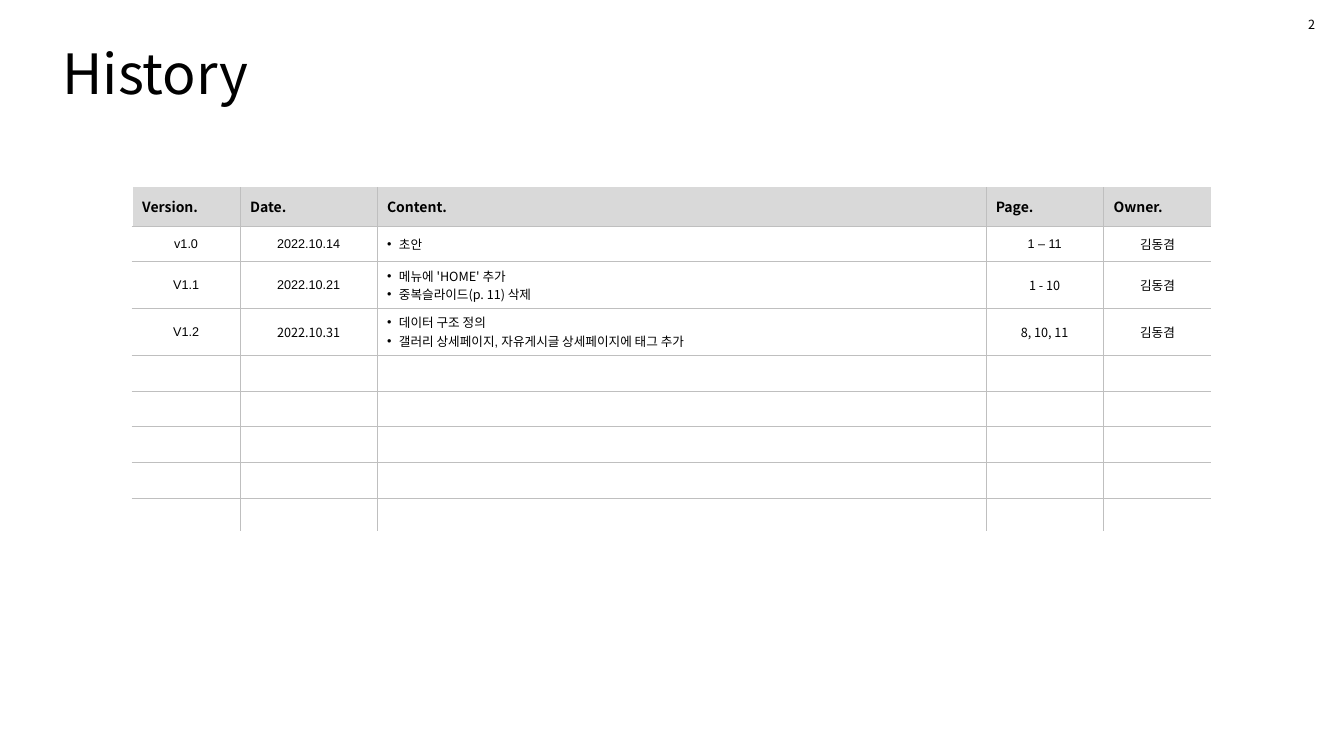
from lxml.etree import SubElement
from pptx import Presentation
from pptx.dml.color import RGBColor
from pptx.enum.text import MSO_ANCHOR, MSO_AUTO_SIZE, PP_ALIGN
from pptx.oxml.ns import qn
from pptx.util import Cm, Pt

BLACK = RGBColor(0x00, 0x00, 0x00)
WHITE = RGBColor(0xFF, 0xFF, 0xFF)
HEADER_GREY = RGBColor(0xD9, 0xD9, 0xD9)
LINE_GREY = RGBColor(0xBF, 0xBF, 0xBF)
NOTO, ARIAL = "Noto Sans CJK KR", "Arial"

GRID_LINE = (LINE_GREY, 0.25)
WHITE_LINE = (WHITE, 1)
HEADER_FONT = {"size": Pt(10), "bold": True}
BODY_FONT = {"size": Pt(9), "bold": False}

COLUMN_WIDTHS = (2.72, 3.45, 15.34, 2.97, 2.72)
ROW_HEIGHTS = (0.97, 0.9, 1.16, 1.18) + (0.9,) * 4 + (0.85,)
CONTENT_COLUMN = 2
HEADERS = ("Version.", "Date.", "Content.", "Page.", "Owner.")
HISTORY = (
    ("v1.0", "2022.10.14", "초안", "1 – 11", "김동겸"),
    ("V1.1", "2022.10.21", "메뉴에 'HOME' 추가\n중복슬라이드(p. 11) 삭제",
     "1 - 10", "김동겸"),
    ("V1.2", "2022.10.31",
     "데이터 구조 정의\n갤러리 상세페이지, 자유게시글\u00a0상세페이지에 태그 추가",
     "8, 10, 11", "김동겸"),
)
HISTORY_FONTS = (
    (ARIAL, ARIAL, NOTO, ARIAL, NOTO),
    (ARIAL, ARIAL, NOTO, NOTO, NOTO),
    (ARIAL, NOTO, ARIAL, NOTO, NOTO),
)


def set_attrs(obj, values):
    """Set each attribute of obj from a dict."""
    for name, value in values.items():
        setattr(obj, name, value)


def add_run(p, text, font, latin=NOTO):
    """Add a black run with its Latin and East Asian fonts."""
    r = p.add_run()
    r.text = text
    set_attrs(r.font, {"name": latin, **font})
    r.font.color.rgb = BLACK
    SubElement(r.font._element, qn("a:ea"), typeface=NOTO)


def add_bullet(p):
    """Give a paragraph a hanging round bullet."""
    pPr = p._p.get_or_add_pPr()
    pPr.set("marL", str(Cm(0.3)))
    pPr.set("indent", str(-Cm(0.3)))
    SubElement(pPr, qn("a:buFont"), typeface=ARIAL)
    SubElement(pPr, qn("a:buChar"), char="•")


def set_borders(cell, borders):
    """Draw the L, R, T and B borders; None leaves a side without a line."""
    tcPr = cell._tc.get_or_add_tcPr()
    for side, line in borders.items():
        ln = SubElement(tcPr, qn(f"a:ln{side}"))
        if line is None:
            SubElement(ln, qn("a:noFill"))
            continue
        color, width = line
        ln.set("w", str(Pt(width)))
        fill = SubElement(ln, qn("a:solidFill"))
        SubElement(fill, qn("a:srgbClr"), val=str(color))


def fill_cell(cell, text, font, latin=NOTO, align=None, bullets=False):
    """Write the lines of a cell, one paragraph each."""
    tf = cell.text_frame
    for i, line in enumerate(text.split("\n")):
        p = tf.add_paragraph() if i else tf.paragraphs[0]
        p.alignment = align
        if bullets:
            add_bullet(p)
        add_run(p, line, font, latin)


def add_history_table(slide):
    """Add the version history with its empty rows."""
    n_rows, n_cols = len(ROW_HEIGHTS), len(COLUMN_WIDTHS)
    table = slide.shapes.add_table(
        n_rows, n_cols, Cm(3.33), Cm(4.72),
        Cm(sum(COLUMN_WIDTHS)), Cm(sum(ROW_HEIGHTS))).table
    set_attrs(table, {"first_row": False, "horz_banding": False})
    for column, width in zip(table.columns, COLUMN_WIDTHS):
        column.width = Cm(width)
    for i, (row, height) in enumerate(zip(table.rows, ROW_HEIGHTS)):
        row.height = Cm(height)
        for j, cell in enumerate(row.cells):
            cell.vertical_anchor = MSO_ANCHOR.MIDDLE
            set_borders(cell, {
                "L": GRID_LINE if j else WHITE_LINE,
                "R": GRID_LINE if j < n_cols - 1 else None,
                "T": GRID_LINE if i else None,
                "B": GRID_LINE if i < n_rows - 1 else WHITE_LINE,
            })
            if i == 0:
                cell.fill.solid()
                cell.fill.fore_color.rgb = HEADER_GREY
                fill_cell(cell, HEADERS[j], HEADER_FONT)
                continue
            cell.fill.background()
            if i <= len(HISTORY):
                bullets = j == CONTENT_COLUMN
                fill_cell(cell, HISTORY[i - 1][j], BODY_FONT,
                          HISTORY_FONTS[i - 1][j],
                          None if bullets else PP_ALIGN.CENTER, bullets)
            else:
                p = cell.text_frame.paragraphs[0]
                SubElement(p._p, qn("a:endParaRPr"), sz="900")


def set_title(slide, text):
    """Place and format the title placeholder."""
    sp = slide.shapes.title
    set_attrs(sp, {"left": Cm(1.32), "top": Cm(1.12),
                   "width": Cm(31.72), "height": Cm(1.6)})
    tf = sp.text_frame
    set_attrs(tf, {"vertical_anchor": MSO_ANCHOR.MIDDLE, "word_wrap": True,
                   "auto_size": MSO_AUTO_SIZE.NONE})
    p = tf.paragraphs[0]
    set_attrs(p, {"alignment": PP_ALIGN.LEFT, "line_spacing": 0.9})
    add_run(p, text, {"size": Pt(39.6)})


def add_page_number(slide, text):
    """Add the page number at the top right."""
    sp = slide.shapes.add_textbox(Cm(32.72), Cm(0.3), Cm(0.69), Cm(0.64))
    tf = sp.text_frame
    set_attrs(tf, {"word_wrap": False,
                   "auto_size": MSO_AUTO_SIZE.SHAPE_TO_FIT_TEXT})
    add_run(tf.paragraphs[0], text, BODY_FONT)


def main():
    """Build the history slide and save it."""
    prs = Presentation()
    set_attrs(prs, {"slide_width": Cm(33.87), "slide_height": Cm(19.05)})
    slide = prs.slides.add_slide(prs.slide_layouts.get_by_name("Title Only"))
    set_title(slide, "History")
    add_history_table(slide)
    add_page_number(slide, "2")
    prs.save("out.pptx")


main()
